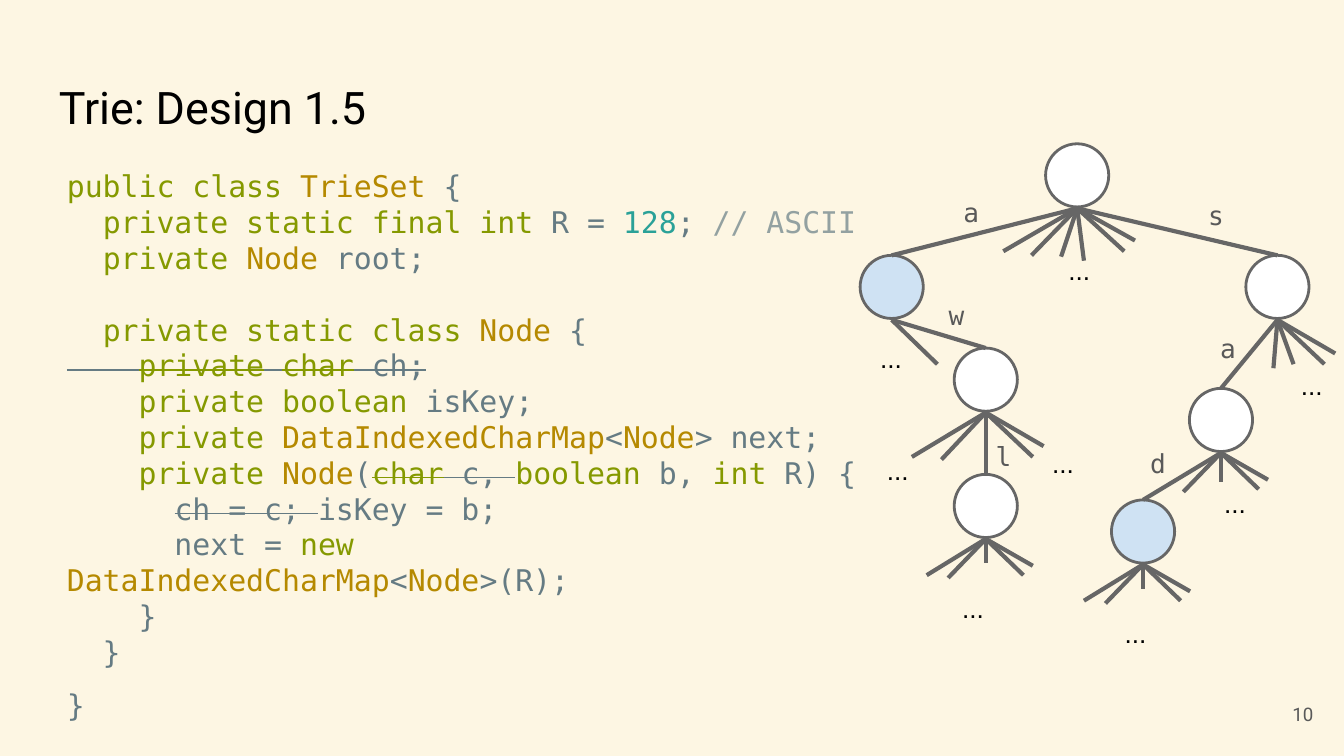
from dataclasses import dataclass
from typing import NamedTuple

from lxml.etree import SubElement
from pptx import Presentation
from pptx.dml.color import RGBColor
from pptx.enum.shapes import MSO_CONNECTOR, MSO_SHAPE
from pptx.enum.text import MSO_ANCHOR, PP_ALIGN
from pptx.oxml.ns import qn
from pptx.util import Inches, Pt

CREAM = RGBColor(0xFD, 0xF6, 0xE3)
BLACK = RGBColor(0, 0, 0)
WHITE = RGBColor(0xFF, 0xFF, 0xFF)
KEY_BLUE = RGBColor(0xCF, 0xE2, 0xF3)
EDGE_GRAY = RGBColor(0x66, 0x66, 0x66)
LABEL_GRAY = RGBColor(0x59, 0x59, 0x59)
KEYWORD = RGBColor(0x85, 0x99, 0x00)
TYPE = RGBColor(0xB5, 0x89, 0x00)
PLAIN = RGBColor(0x65, 0x7B, 0x83)
NUMBER = RGBColor(0x2A, 0xA1, 0x98)
COMMENT = RGBColor(0x93, 0xA1, 0xA1)
MONO = "DejaVu Sans Mono"
NODE_SIZE = 0.47
HUB_DROP = 0.48

Point = tuple[float, float]


class Token(NamedTuple):
    text: str
    color: RGBColor = PLAIN
    struck: bool = False


@dataclass(frozen=True)
class TrieNode:
    left: float
    top: float
    stubs: tuple[Point, ...]
    dots: tuple[Point, ...]
    children: tuple[str, ...] = ()
    is_key: bool = False
    letter: str = ""
    letter_at: Point = (0, 0)

    @property
    def hub(self) -> Point:
        return self.left + NODE_SIZE / 2, self.top + HUB_DROP


LEAF_FAN = ((-0.28, 0.29), (-0.44, 0.27), (0.28, 0.27), (0.35, 0.2), (0, 0.18))

TRIE = {
    "": TrieNode(7.78, 1.07,
                 ((-0.34, 0.35), (0.35, 0.32), (0.05, 0.39),
                  (-0.12, 0.36), (-0.55, 0.32), (0.43, 0.24)),
                 ((7.85, 1.79),), ("a", "s")),
    "s": TrieNode(9.27, 1.9,
                  ((-0.03, 0.36), (0.12, 0.33), (0.35, 0.33), (0.43, 0.25)),
                  ((9.58, 2.65),), ("sa",), False, "s", (8.89, 1.38)),
    "sa": TrieNode(8.85, 2.89,
                   ((-0.28, 0.29), (0.28, 0.27), (0.35, 0.2), (0, 0.22)),
                   ((9.01, 3.53),), ("sad",), False, "a", (8.98, 2.37)),
    "sad": TrieNode(8.27, 3.72, LEAF_FAN, ((8.27, 4.49),), (), True, "d", (8.46, 3.23)),
    "a": TrieNode(6.4, 1.9, ((0.34, 0.33),), ((6.45, 2.45),), ("aw",), True,
                  "a", (7.07, 1.36)),
    "aw": TrieNode(7.1, 2.59,
                   ((-0.33, 0.35), (-0.55, 0.33), (0.35, 0.33), (0.43, 0.25)),
                   ((6.5, 3.28), (7.73, 3.23)), ("awl",), False, "w", (6.96, 2.13)),
    "awl": TrieNode(7.1, 3.53, LEAF_FAN, ((7.06, 4.31),), (), False, "l", (7.31, 3.18)),
}

MAP = Token("DataIndexedCharMap", TYPE)
NODE = Token("Node", TYPE)
PRIVATE = Token("private ", KEYWORD)
INDENT = Token("  ")
INDENT_2 = Token("    ")

CODE = (
    (Token("public class ", KEYWORD), Token("TrieSet", TYPE), Token(" {")),
    (INDENT, Token("private static final int", KEYWORD), Token(" R = "),
     Token("128", NUMBER), Token("; "), Token("// ASCII", COMMENT)),
    (INDENT, PRIVATE, NODE, Token(" root;")),
    (),
    (INDENT, Token("private static class ", KEYWORD), NODE, Token(" {")),
    (Token("    ", PLAIN, True), Token("private", KEYWORD, True), Token(" ", PLAIN, True),
     Token("char", KEYWORD, True), Token(" ch;", PLAIN, True)),
    (INDENT_2, Token("private boolean", KEYWORD), Token(" isKey;")),
    (INDENT_2, PRIVATE, MAP, Token("<"), NODE, Token("> next;")),
    (INDENT_2, PRIVATE, NODE, Token("("), Token("char", KEYWORD, True),
     Token(" c, ", PLAIN, True), Token("boolean", KEYWORD), Token(" b, "),
     Token("int", KEYWORD), Token(" R) {")),
    (Token("      "), Token("ch = c; ", PLAIN, True), Token("isKey = b;")),
    (Token("      next = "), Token("new ", KEYWORD), MAP, Token("<"), NODE, Token(">(R);")),
    (Token("    }"),),
    (Token("  }"),),
    (Token("}"),),
)


def add_frame(slide, left: float, top: float, width: float, height: float):
    frame = slide.shapes.add_textbox(
        Inches(left), Inches(top), Inches(width), Inches(height)).text_frame
    frame.word_wrap = True
    frame.margin_left = frame.margin_right = Inches(0.1)
    frame.margin_top = frame.margin_bottom = Inches(0.1)
    return frame


def add_text(slide, text: str, left: float, top: float, width: float, height: float,
             size: float, font: str, color: RGBColor):
    frame = add_frame(slide, left, top, width, height)
    line = frame.paragraphs[0]
    line.text = text
    line.font.size = Pt(size)
    line.font.name = font
    line.font.color.rgb = color
    return frame


def add_code(slide) -> None:
    frame = add_frame(slide, 0.4, 1.15, 6.2, 4)
    for index, tokens in enumerate(CODE):
        line = frame.add_paragraph() if index else frame.paragraphs[0]
        line.font.size = Pt(16)
        line.font.name = MONO
        for token in tokens:
            run = line.add_run()
            run.text = token.text
            run.font.color.rgb = token.color
            if token.struck:
                run._r.get_or_add_rPr().set("strike", "sngStrike")
    frame.paragraphs[-1].line_spacing = 1.48


def add_circle(slide, node: TrieNode):
    circle = slide.shapes.add_shape(
        MSO_SHAPE.OVAL, Inches(node.left), Inches(node.top),
        Inches(NODE_SIZE), Inches(NODE_SIZE))
    circle.shadow.inherit = False
    circle.fill.solid()
    circle.fill.fore_color.rgb = KEY_BLUE if node.is_key else WHITE
    circle.line.color.rgb = EDGE_GRAY
    circle.line.width = Pt(1.5)
    return circle


def add_edge(slide, start: Point, end: Point):
    edge = slide.shapes.add_connector(
        MSO_CONNECTOR.STRAIGHT, *(Inches(value) for value in (*start, *end)))
    edge.line.color.rgb = EDGE_GRAY
    edge.line.width = Pt(2.25)
    SubElement(edge._element.spPr, qn("a:effectLst"))
    return edge


def add_trie(slide) -> None:
    circles = {prefix: add_circle(slide, node) for prefix, node in TRIE.items()}
    for node in TRIE.values():
        x, y = node.hub
        for prefix in node.children:
            child = TRIE[prefix]
            edge = add_edge(slide, node.hub, (child.left + NODE_SIZE / 2, child.top))
            edge.end_connect(circles[prefix], 0)
        for dx, dy in node.stubs:
            add_edge(slide, node.hub, (x + dx, y + dy))
        if node.letter:
            add_text(slide, node.letter, *node.letter_at, 0.23, 0.22, 14, MONO, LABEL_GRAY)
        for left, top in node.dots:
            add_text(slide, "...", left, top, 0.45, 0.32, 14, "Arial", BLACK)


def main() -> None:
    deck = Presentation()
    deck.slide_width = Inches(10)
    deck.slide_height = deck.slide_width * 9 // 16
    slide = deck.slides.add_slide(deck.slide_layouts[6])
    slide.background.fill.solid()
    slide.background.fill.fore_color.rgb = CREAM
    add_text(slide, "Trie: Design 1.5", 0.34, 0.49, 9.32, 0.63, 24, "Roboto", BLACK)
    page_number = add_text(slide, "10", 9.27, 5.1, 0.6, 0.43, 10, "Roboto", LABEL_GRAY)
    page_number.vertical_anchor = MSO_ANCHOR.MIDDLE
    page_number.paragraphs[0].alignment = PP_ALIGN.RIGHT
    add_code(slide)
    add_trie(slide)
    deck.save("out.pptx")


if __name__ == "__main__":
    main()
